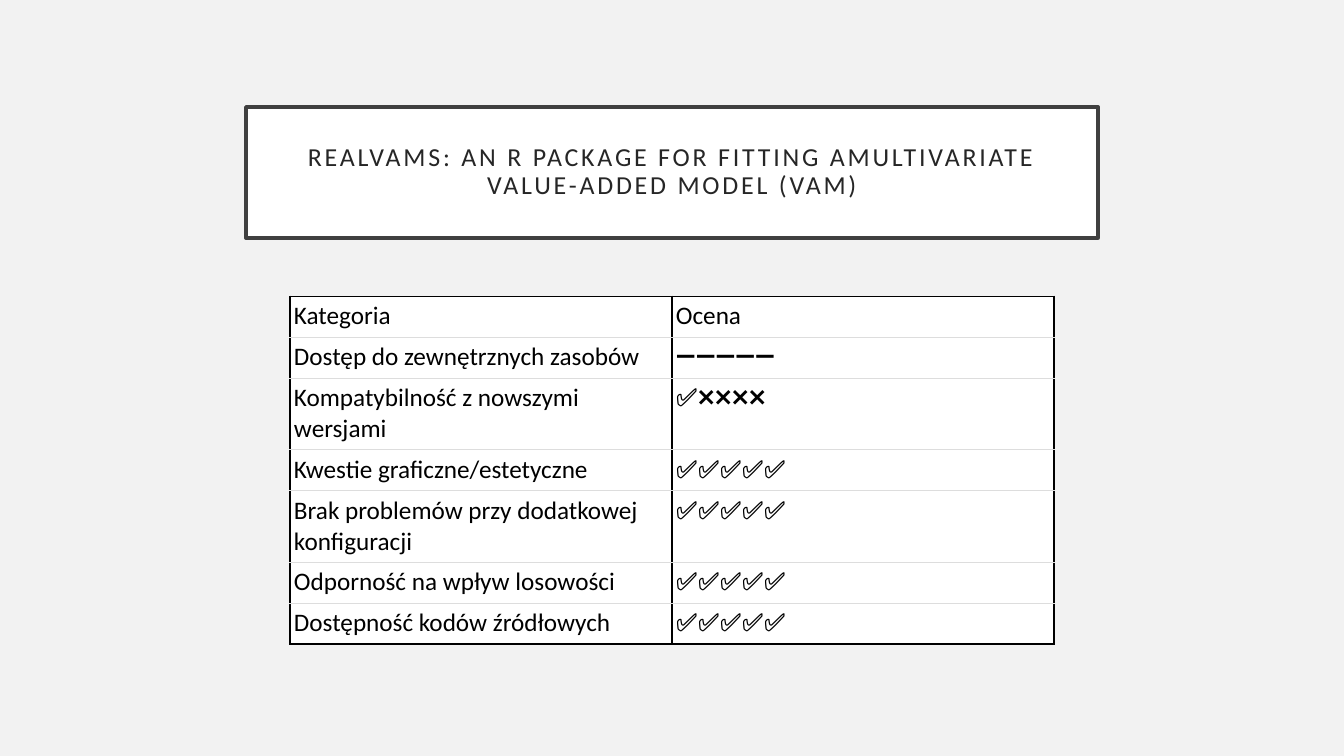
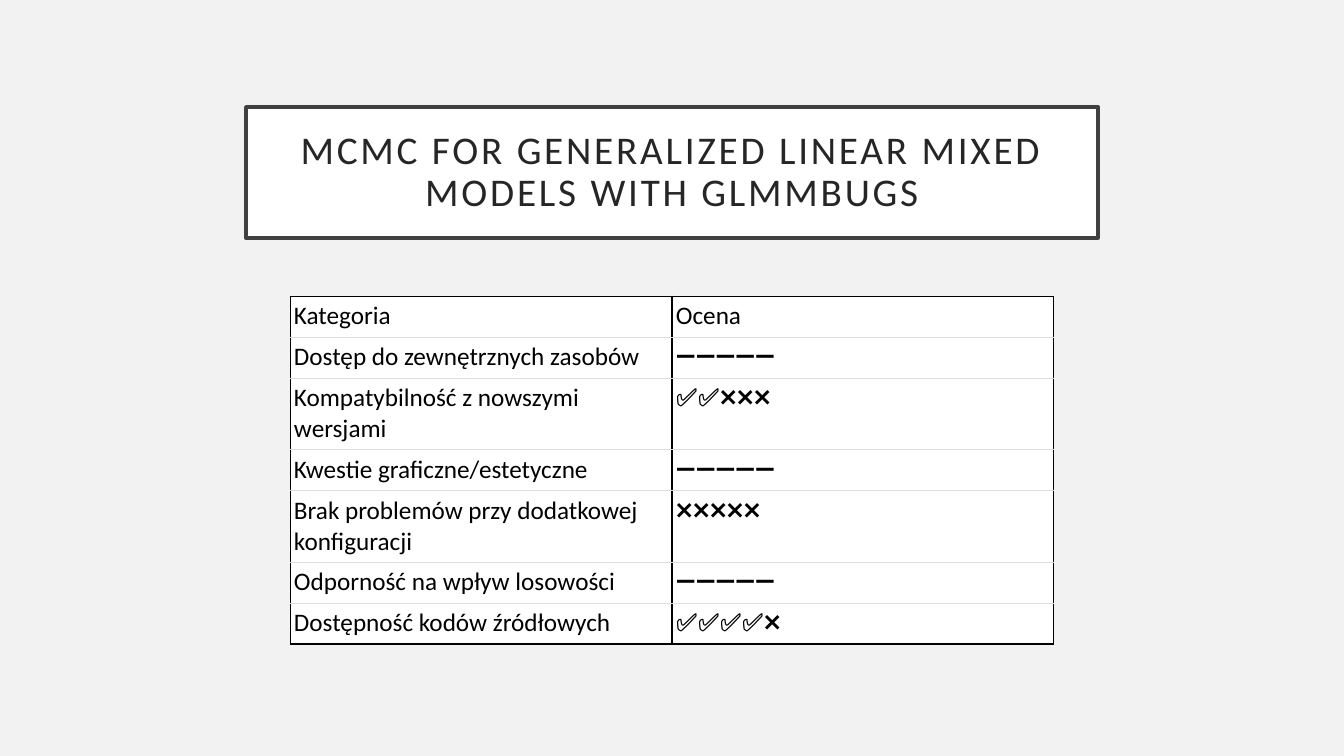
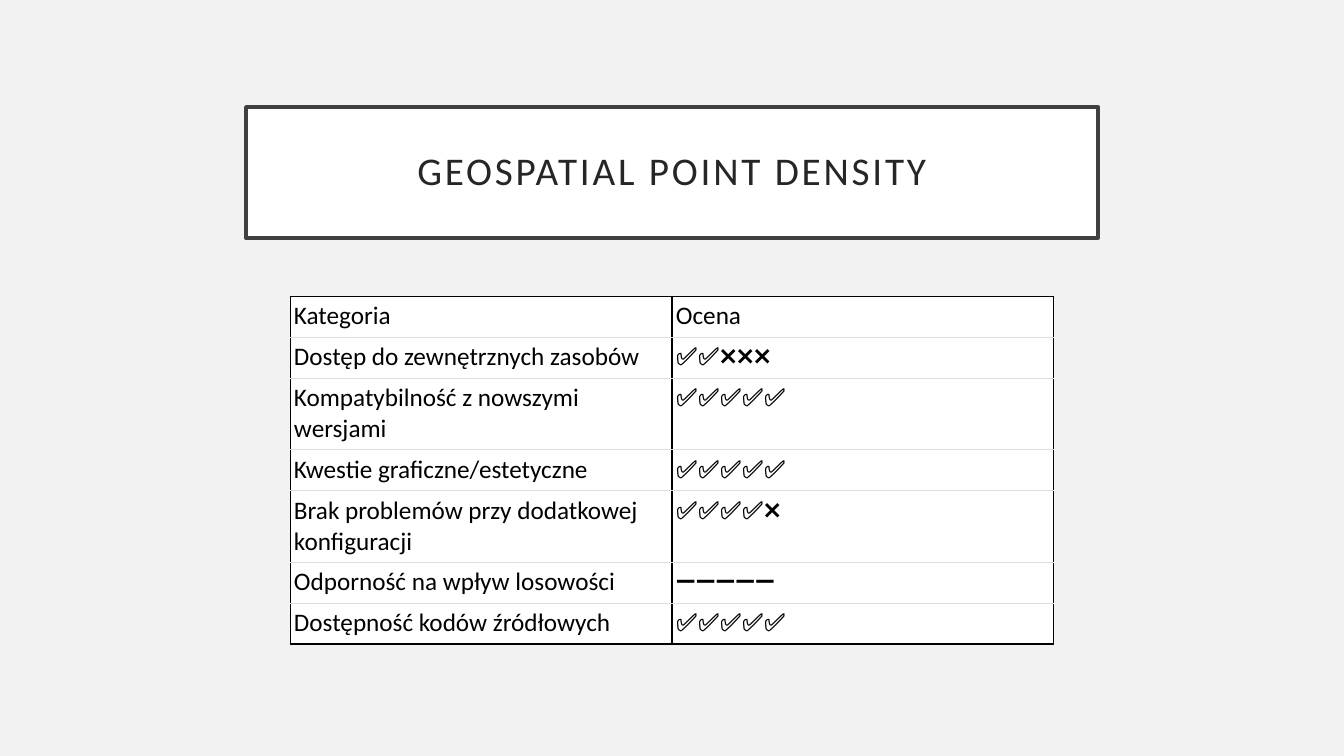
from dataclasses import dataclass

from lxml import etree
from pptx import Presentation
from pptx.dml.color import RGBColor
from pptx.enum.shapes import MSO_SHAPE
from pptx.enum.text import MSO_ANCHOR, PP_ALIGN
from pptx.oxml.ns import qn
from pptx.util import Emu, Pt

RECT = MSO_SHAPE.RECTANGLE
CENTER, LEFT = PP_ALIGN.CENTER, PP_ALIGN.LEFT
MIDDLE, TOP = MSO_ANCHOR.MIDDLE, MSO_ANCHOR.TOP

SLIDE_W, SLIDE_H = 1344, 756
EMU_PER_PX = 12192000 / SLIDE_W


def px(n):
    return Emu(round(n * EMU_PER_PX))


@dataclass(frozen=True)
class Theme:
    font: str = "Calibri"
    page: str = "F2F2F2"
    panel: str = "FFFFFF"
    frame: str = "404040"
    title: str = "262626"
    text: str = "000000"
    grid: str = "000000"
    rule: str = "DDDDDD"
    title_pt: float = 28
    long_title_pt: float = 18.5
    body_pt: float = 18
    frame_pt: float = 2.5
    rule_pt: float = 0.57
    thin_pt: float = 0.75
    thick_pt: float = 1.4


THEME = Theme()


def rgb(value):
    return RGBColor.from_string(value)


class Deck:
    """Holds the presentation, its style and the current slide."""

    def __init__(self, theme):
        self.theme = theme
        self.prs = Presentation()
        self.prs.slide_width, self.prs.slide_height = px(SLIDE_W), px(SLIDE_H)
        self.s = None

    def new_slide(self):
        self.s = self.prs.slides.add_slide(self.prs.slide_layouts[6])
        fill = self.s.background.fill
        fill.solid()
        fill.fore_color.rgb = rgb(self.theme.page)

    def style(self, p, size, color, align):
        p.alignment = align
        p.font.name = self.theme.font
        p.font.size = Pt(size)
        p.font.color.rgb = rgb(color)

    def title(self, text, size):
        t = self.theme
        sp = self.s.shapes.add_shape(RECT, px(246), px(107), px(852), px(131))
        sp.shadow.inherit = False
        sp.fill.solid()
        sp.fill.fore_color.rgb = rgb(t.panel)
        sp.line.color.rgb = rgb(t.frame)
        sp.line.width = Pt(t.frame_pt)
        tf = sp.text_frame
        tf.word_wrap = True
        tf.vertical_anchor = MIDDLE
        tf.margin_left = tf.margin_right = px(20)
        tf.margin_top = tf.margin_bottom = px(20)
        p = tf.paragraphs[0]
        self.style(p, size, t.title, CENTER)
        p.line_spacing = 0.9
        r = p.add_run()
        r.text = text
        r._r.get_or_add_rPr().set("spc", "200")  # letter spacing, 2 pt

    def border(self, cell, side, color, width):
        ln = etree.SubElement(cell._tc.get_or_add_tcPr(), qn(f"a:ln{side}"),
                              w=str(Pt(width)))
        fill = etree.SubElement(ln, qn("a:solidFill"))
        etree.SubElement(fill, qn("a:srgbClr"), val=color)

    def cell(self, cell, text, borders):
        cell.margin_left = cell.margin_right = px(4)
        cell.margin_top = cell.margin_bottom = px(5)
        cell.vertical_anchor = TOP
        # Borders come before the fill in the cell properties
        for side, (color, width) in borders.items():
            self.border(cell, side, color, width)
        cell.fill.solid()
        cell.fill.fore_color.rgb = rgb(self.theme.panel)
        cell.text = text
        self.style(cell.text_frame.paragraphs[0], self.theme.body_pt,
                   self.theme.text, LEFT)

    def table(self, rows, heights, side_pt):
        t = self.theme
        table = self.s.shapes.add_table(len(rows), 2, px(290), px(296),
                                        px(764), px(sum(heights))).table
        table.first_row = table.horz_banding = False
        for col in table.columns:
            col.width = px(382)
        rule, side = (t.rule, t.rule_pt), (t.grid, side_pt)
        thin, thick = (t.grid, t.thin_pt), (t.grid, t.thick_pt)
        last = len(rows) - 1
        for i, row in enumerate(rows):
            table.rows[i].height = px(heights[i])
            for j, text in enumerate(row):
                self.cell(table.cell(i, j), text, {
                    "L": thick if j else side,
                    "R": side if j else thick,
                    "T": rule if i else thin,
                    "B": rule if i < last else thick,
                })


# Rated categories with the height of their rows
CATEGORIES = [
    ("Dostęp do zewnętrznych zasobów", 41),
    ("Kompatybilność z nowszymi wersjami", 71),
    ("Kwestie graficzne/estetyczne", 41),
    ("Brak problemów przy dodatkowej konfiguracji", 71),
    ("Odporność na wpływ losowości", 41),
    ("Dostępność kodów źródłowych", 41),
]
HEADER = ("Kategoria", "Ocena")
HEADER_H = 41
MAX_SCORE = 5

# Title, title size, outer side line, scores (None: not rated)
REVIEWS = [
    ("REALVAMS: AN R PACKAGE FOR FITTING AMULTIVARIATE VALUE-ADDED MODEL (VAM)",
     THEME.long_title_pt, THEME.thick_pt, [None, 1, 5, 5, 5, 5]),
    ("MCMC FOR GENERALIZED LINEAR MIXED MODELS WITH GLMMBUGS",
     THEME.title_pt, THEME.thin_pt, [None, 2, None, 0, None, 4]),
    ("GEOSPATIAL POINT DENSITY",
     THEME.title_pt, THEME.thin_pt, [2, 5, 5, 4, None, 5]),
]


def marks(score):
    if score is None:
        return "➖" * MAX_SCORE
    return "✅" * score + "❌" * (MAX_SCORE - score)


def main():
    deck = Deck(THEME)
    heights = [HEADER_H] + [h for _, h in CATEGORIES]
    for title, size, side_pt, scores in REVIEWS:
        deck.new_slide()
        deck.title(title, size)
        rows = [HEADER] + [(name, marks(score))
                           for (name, _), score in zip(CATEGORIES, scores)]
        deck.table(rows, heights, side_pt)
    deck.prs.save("out.pptx")


if __name__ == "__main__":
    main()
